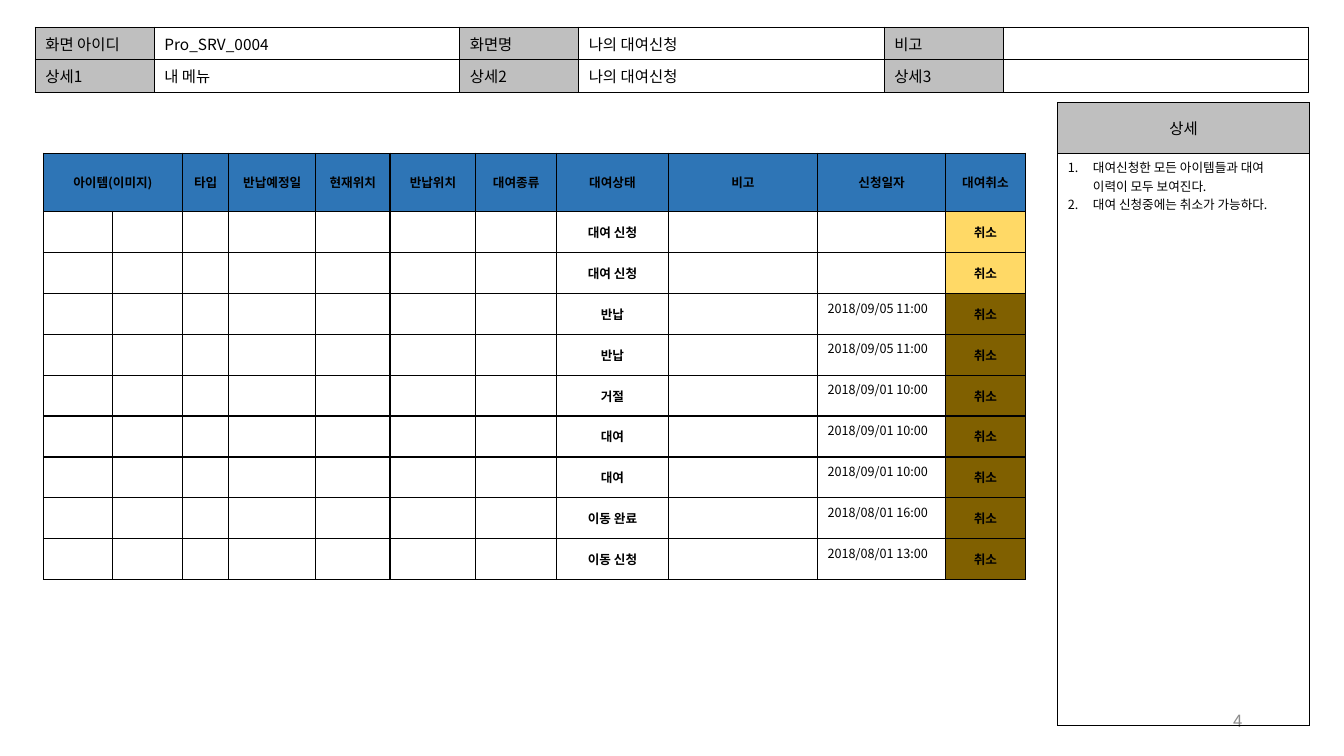
from lxml.etree import SubElement
from pptx import Presentation
from pptx.dml.color import RGBColor
from pptx.enum.text import MSO_ANCHOR, PP_ALIGN
from pptx.oxml import parse_xml
from pptx.oxml.ns import nsdecls, qn
from pptx.util import Inches, Pt

FONT = "Noto Sans CJK KR"
BLUE, GREY, YELLOW, BROWN = "2E75B6", "BFBFBF", "FFD966", "806000"


def write(paragraph, text, size, color="000000", bold=False, align=PP_ALIGN.LEFT):
    paragraph.text = text
    paragraph.alignment = align
    font = paragraph.font
    font.name, font.size, font.bold = FONT, Pt(size), bold
    font.color.rgb = RGBColor.from_string(color)
    SubElement(font._element, qn("a:ea"), typeface=FONT)
    if not text:
        SubElement(paragraph._p, qn("a:endParaRPr"), sz=str(size * 100))


def add_grid(left, top, columns, rows, fills):
    table = slide.shapes.add_table(
        len(rows), len(columns), Inches(left), Inches(top),
        Inches(sum(columns)), Inches(sum(rows))).table
    table.first_row = table.horz_banding = False
    for column, width in zip(table.columns, columns):
        column.width = Inches(width)
    for row, height, row_fills in zip(table.rows, rows, fills):
        row.height = Inches(height)
        for cell, fill in zip(row.cells, row_fills):
            cell.vertical_anchor = MSO_ANCHOR.MIDDLE
            if fill:
                cell.fill.solid()
                cell.fill.fore_color.rgb = RGBColor.from_string(fill)
            else:
                cell.fill.background()
            properties = cell._tc.get_or_add_tcPr()
            for position, side in enumerate("LRTB"):
                properties.insert(position, parse_xml(
                    f'<a:ln{side} {nsdecls("a")} w="12700"><a:solidFill>'
                    f'<a:srgbClr val="000000"/></a:solidFill></a:ln{side}>'))
    return table


presentation = Presentation()
presentation.slide_width, presentation.slide_height = Inches(13.33), Inches(7.5)
slide = presentation.slides.add_slide(presentation.slide_layouts[6])

headings = ["아이템(이미지)", "", "타입", "반납예정일", "현재위치", "반납위치",
            "대여종류", "대여상태", "비고", "신청일자", "대여취소"]
rentals = [
    ("대여 신청", "", YELLOW),
    ("대여 신청", "", YELLOW),
    ("반납", "2018/09/05 11:00", BROWN),
    ("반납", "2018/09/05 11:00", BROWN),
    ("거절", "2018/09/01 10:00", BROWN),
    ("대여", "2018/09/01 10:00", BROWN),
    ("대여", "2018/09/01 10:00", BROWN),
    ("이동 완료", "2018/08/01 16:00", BROWN),
    ("이동 신청", "2018/08/01 13:00", BROWN),
]
rental_table = add_grid(
    0.43, 1.52,
    [0.69, 0.69, 0.46, 0.86, 0.74, 0.85, 0.8, 1.11, 1.48, 1.27, 0.79],
    [0.58] + [3.65 / len(rentals)] * len(rentals),
    [[BLUE] * 11] + [[None] * 10 + [color] for _, _, color in rentals])
rental_rows = [headings] + [
    [""] * 7 + [state, "", date, "취소"] for state, date, _ in rentals]
for row_index, texts in enumerate(rental_rows):
    for column_index, text in enumerate(texts):
        cell = rental_table.cell(row_index, column_index)
        is_date = row_index > 0 and column_index == 9
        if is_date:
            cell.vertical_anchor = MSO_ANCHOR.TOP
        write(cell.text_frame.paragraphs[0], text, 9, bold=not is_date,
              align=PP_ALIGN.LEFT if is_date else PP_ALIGN.CENTER)
rental_table.cell(0, 0).merge(rental_table.cell(0, 1))

screen_rows = [
    ["화면 아이디", "Pro_SRV_0004", "화면명", "나의 대여신청", "비고", ""],
    ["상세1", "내 메뉴", "상세2", "나의 대여신청", "상세3", ""],
]
screen_table = add_grid(0.35, 0.27, [1.18, 3.03] * 3, [0.24] * 2,
                        [[GREY, None] * 3] * 2)
for row, texts in zip(screen_table.rows, screen_rows):
    for cell, text in zip(row.cells, texts):
        write(cell.text_frame.paragraphs[0], text, 11)

page_number = slide.shapes.add_textbox(
    Inches(9.42), Inches(6.95), Inches(3), Inches(0.4)).text_frame
page_number.word_wrap = True
page_number.vertical_anchor = MSO_ANCHOR.MIDDLE
write(page_number.paragraphs[0], "4", 12, "8C8C8C", align=PP_ALIGN.RIGHT)

detail_table = add_grid(10.49, 1.02, [2.5], [0.5, 5.68], [[GREY], [None]])
write(detail_table.cell(0, 0).text_frame.paragraphs[0], "상세", 11,
      align=PP_ALIGN.CENTER)
notes_cell = detail_table.cell(1, 0)
notes_cell.vertical_anchor = MSO_ANCHOR.TOP
notes = ["대여신청한 모든 아이템들과 대여 이력이 모두 보여진다.",
         "대여 신청중에는 취소가 가능하다."]
notes_cell.text_frame.add_paragraph()
for paragraph, note in zip(notes_cell.text_frame.paragraphs, notes):
    write(paragraph, note, 9)
    properties = paragraph._p.get_or_add_pPr()
    properties.set("marL", str(Inches(0.25)))
    properties.set("indent", str(-Inches(0.25)))
    properties.insert(0, parse_xml(
        f'<a:buAutoNum {nsdecls("a")} type="arabicPeriod"/>'))

presentation.save("out.pptx")
